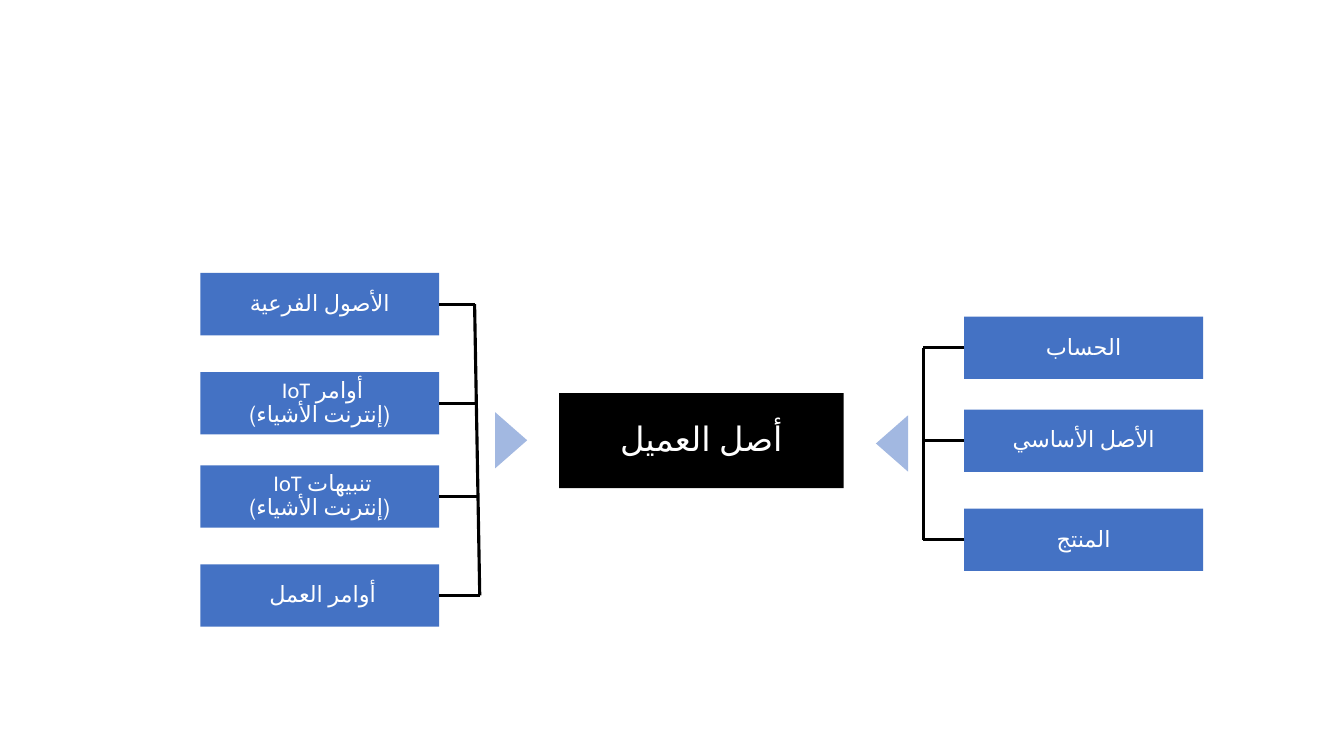
import pptx
import pptx.dml.color
import pptx.enum.lang
import pptx.enum.shapes
import pptx.enum.text
import pptx.oxml.ns
import pptx.util
from lxml import etree
from pptx.util import Cm

BLACK = pptx.dml.color.RGBColor(0x00, 0x00, 0x00)
WHITE = pptx.dml.color.RGBColor(0xFF, 0xFF, 0xFF)
BLUE = pptx.dml.color.RGBColor(0x44, 0x72, 0xC4)
LIGHT_BLUE = pptx.dml.color.RGBColor(0xA2, 0xB8, 0xE1)

FONT = "Calibri"
BOX_WIDTH, BOX_HEIGHT = 6.02, 1.57
LEFT_SIDE, RIGHT_SIDE = 1, 3  # connection sites of a rectangle

# Label and top edge of each box, in centimetres
CHILDREN = [
    ("الأصول الفرعية", 6.88),
    ("أوامر IoT \v(إنترنت الأشياء)", 9.38),
    ("تنبيهات IoT \v(إنترنت الأشياء)", 11.73),
    ("أوامر العمل ", 14.22),
]
PARENTS = [("الحساب", 7.98), ("الأصل الأساسي", 10.32), ("المنتج", 12.82)]


def write_text(shape, text, size=16, color=WHITE):
    """Write centred right-to-left text into a shape."""
    frame = shape.text_frame
    frame.word_wrap = True
    frame.vertical_anchor = pptx.enum.text.MSO_ANCHOR.MIDDLE
    frame.margin_left = frame.margin_right = Cm(0.68)
    frame.margin_top = frame.margin_bottom = Cm(0.53)
    paragraph = frame.paragraphs[0]
    paragraph.text = text
    paragraph.alignment = pptx.enum.text.PP_ALIGN.CENTER
    paragraph.line_spacing = 0.9
    paragraph._p.get_or_add_pPr().set("rtl", "1")
    for run in paragraph.runs:
        run.font.size = pptx.util.Pt(size)
        run.font.name = FONT
        run.font.color.rgb = color
        run.font.language_id = pptx.enum.lang.MSO_LANGUAGE_ID.ARABIC


def add_filled_shape(slide, kind, left, top, width, height, fill):
    shape = slide.shapes.add_shape(kind, Cm(left), Cm(top), Cm(width), Cm(height))
    shape.shadow.inherit = False
    shape.fill.solid()
    shape.fill.fore_color.rgb = fill
    shape.line.fill.background()
    return shape


def add_box(slide, text, left, top, width=BOX_WIDTH, height=BOX_HEIGHT, fill=BLUE, size=16):
    kind = pptx.enum.shapes.MSO_SHAPE.RECTANGLE
    box = add_filled_shape(slide, kind, left, top, width, height, fill)
    write_text(box, text, size=size)
    return box


def add_triangle(slide, left, top, rotation):
    kind = pptx.enum.shapes.MSO_SHAPE.ISOSCELES_TRIANGLE
    triangle = add_filled_shape(slide, kind, left, top, 1.42, 0.81, LIGHT_BLUE)
    triangle.rotation = rotation


def add_line(slide, start_x, start_y, end_x, end_y):
    line = slide.shapes.add_connector(
        pptx.enum.shapes.MSO_CONNECTOR.STRAIGHT,
        Cm(start_x), Cm(start_y), Cm(end_x), Cm(end_y))
    line.line.color.rgb = BLACK
    line.line.width = pptx.util.Pt(2.25)
    etree.SubElement(line._element.spPr, pptx.oxml.ns.qn("a:effectLst"))
    return line


def add_group(slide, entries, box_left, site, bar_top_x, bar_bottom_x):
    """Stack boxes and join each one to a shared bar."""
    boxes = [add_box(slide, text, box_left, top) for text, top in entries]
    middles = [top + BOX_HEIGHT / 2 for _, top in entries]
    first, last = middles[0], middles[-1]
    add_line(slide, bar_top_x, first, bar_bottom_x, last)
    edge = box_left + (BOX_WIDTH if site == RIGHT_SIDE else 0)
    for box, middle in zip(boxes, middles):
        share = (middle - first) / (last - first)
        bar_x = bar_top_x + share * (bar_bottom_x - bar_top_x)
        branch = add_line(slide, edge, middle, bar_x, middle)
        branch.begin_connect(box, site)


def main():
    presentation = pptx.Presentation()
    presentation.slide_width = Cm(33.87)
    presentation.slide_height = Cm(19.05)
    slide = presentation.slides.add_slide(presentation.slide_layouts[6])

    # Central asset
    add_box(slide, "أصل العميل", 14.09, 9.91, 7.17, 2.39, fill=BLACK, size=24)

    # Parents on the right
    add_group(slide, PARENTS, 24.3, LEFT_SIDE, 23.27, 23.27)
    add_triangle(slide, 21.77, 10.77, 270)

    # Children on the left
    add_group(slide, CHILDREN, 5.05, RIGHT_SIDE, 11.96, 12.09)
    add_triangle(slide, 12.17, 10.69, 90)

    presentation.save("out.pptx")


if __name__ == "__main__":
    main()
